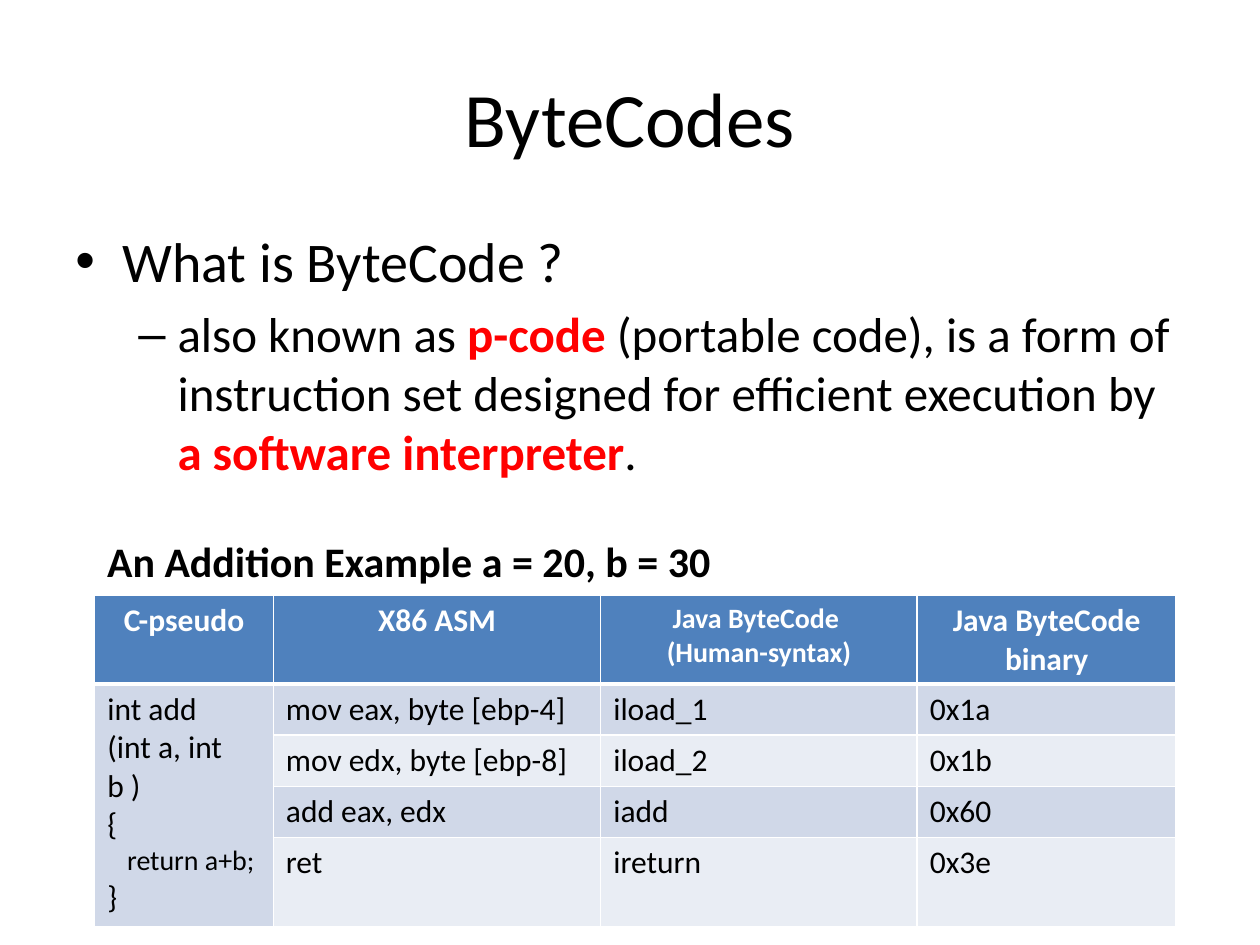
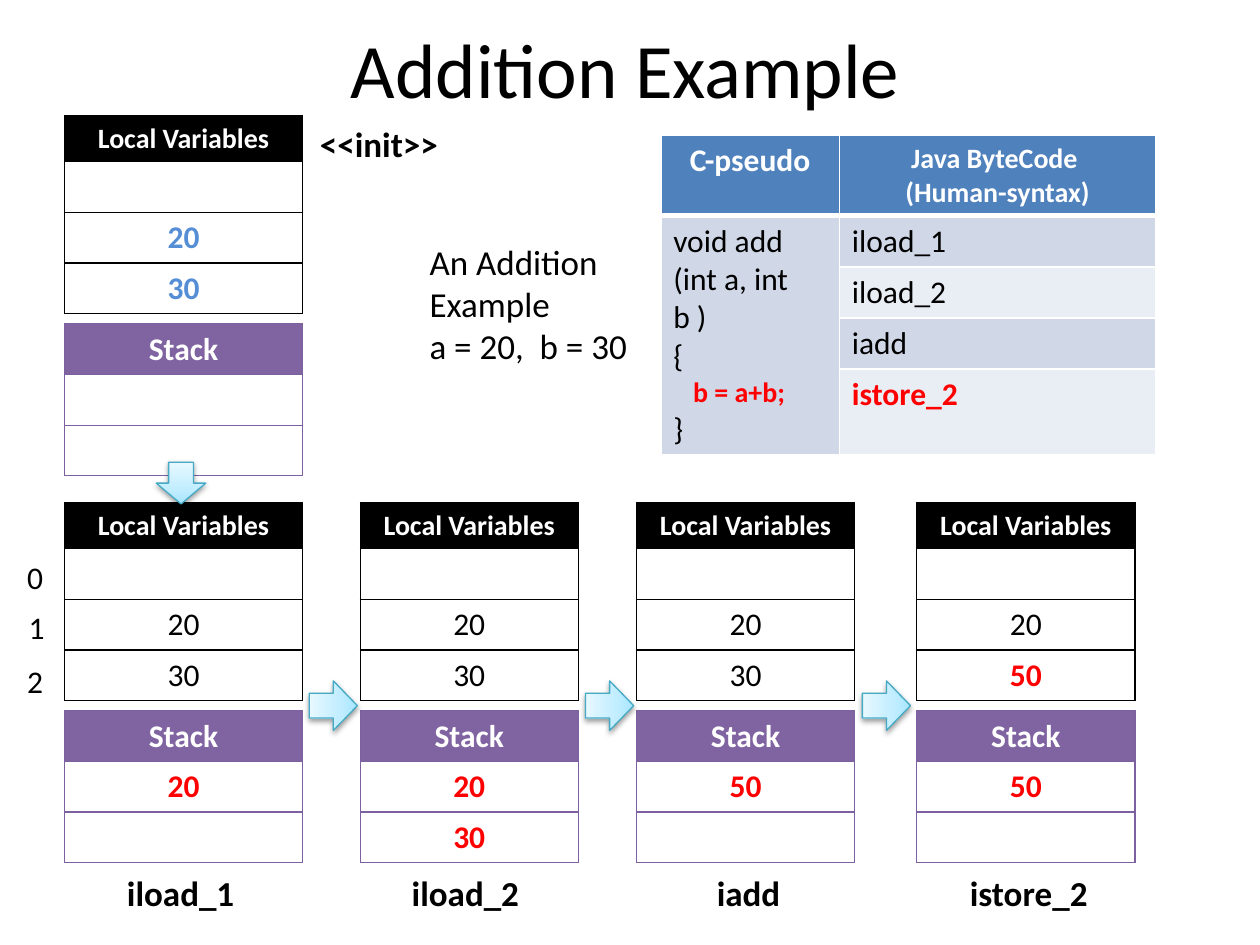
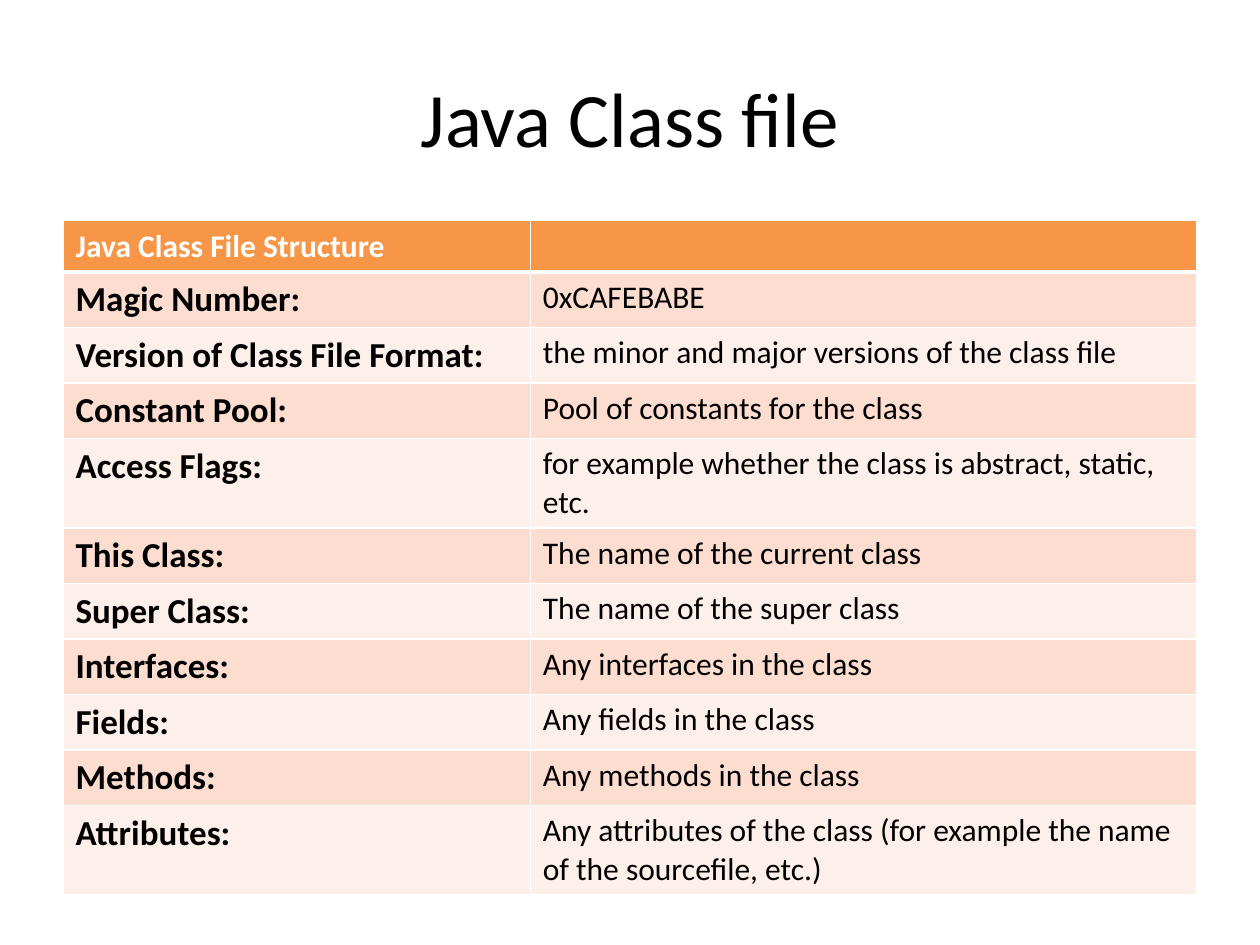
from copy import deepcopy

from lxml import etree
from pptx import Presentation
from pptx import util as u
from pptx.dml.color import RGBColor
from pptx.enum import shapes, text
from pptx.oxml import parse_xml
from pptx.oxml.ns import nsdecls, qn

FONT = "Calibri"
BLACK, WHITE, RED = "000000", "FFFFFF", "FF0000"
BLUE, BLUE_BANDS = "4F81BD", ("D0D8E8", "E9EDF4")
ORANGE, ORANGE_BANDS = "F79646", ("FCDDCF", "FDEFE9")
PURPLE, PURPLE_LINE, VALUE_BLUE = "8064A2", "7D60A0", "558ED5"
LEFT, CENTER = text.PP_ALIGN.LEFT, text.PP_ALIGN.CENTER
rgb = RGBColor.from_string


def write(frame, words, size, colour=BLACK, bold=False, align=LEFT):
    """Fill a text frame; a newline starts a paragraph, a vertical tab a line."""
    frame.word_wrap = True
    frame.text = words
    for para in frame.paragraphs:
        para.alignment = align
        para.font.name = FONT
        para.font.size = u.Pt(size)
        para.font.bold = bold
        para.font.color.rgb = rgb(colour)


def add_grid(page, left, top, widths, heights, head, bands, line, weight, rule):
    """Add a table with a filled head row, banded rows and a rule under the head."""
    frame = page.shapes.add_table(len(heights), len(widths), u.Cm(left), u.Cm(top),
                                  u.Cm(sum(widths)), u.Cm(sum(heights)))
    table = frame.table
    table.first_row = table.horz_banding = False
    for column, width in zip(table.columns, widths):
        column.width = u.Cm(width)
    for r, height in enumerate(heights):
        table.rows[r].height = u.Cm(height)
        for cell in table.rows[r].cells:
            props = cell._tc.get_or_add_tcPr()
            for edge in ("lnL", "lnR", "lnT", "lnB"):
                points = rule if (r, edge) in ((0, "lnB"), (1, "lnT")) else weight
                border = etree.SubElement(props, qn(f"a:{edge}"), w=str(u.Pt(points)))
                fill = etree.SubElement(border, qn("a:solidFill"))
                etree.SubElement(fill, qn("a:srgbClr"), val=line)
            cell.fill.solid()
            cell.fill.fore_color.rgb = rgb(bands[(r - 1) % 2] if r else head)
    return table


deck = Presentation()
deck.slide_width, deck.slide_height = u.Cm(25.4), u.Cm(19.05)

pages = []
for title, place in (("ByteCodes", (1.27, 0.76, 22.86, 3.18)),
                     ("Addition Example", (1.09, 0, 23.04, 2.72)),
                     ("Java Class file", (1.27, 0.76, 22.86, 3.18))):
    page = deck.slides.add_slide(deck.slide_layouts[6])
    frame = page.shapes.add_textbox(*map(u.Cm, place)).text_frame
    frame.vertical_anchor = text.MSO_ANCHOR.MIDDLE
    write(frame, title, 44, align=CENTER)
    pages.append(page)
bytecodes, addition, class_file = pages

# ByteCodes: definition; every second span is a highlighted term
frame = bytecodes.shapes.add_textbox(*map(u.Cm, (1.27, 4.45, 22.86, 7))).text_frame
write(frame, "What is ByteCode ?\n", 32)
definition = frame.paragraphs[1]
definition.font.size = u.Pt(28)
for i, words in enumerate((
        "also known as ", "p-code",
        " (portable code), is a form of instruction set designed for efficient execution by ",
        "a software interpreter", ".")):
    span = definition.add_run()
    span.text = words
    if i % 2:
        span.font.bold = True
        span.font.color.rgb = rgb(RED)
for para, mark, margin, hang in zip(frame.paragraphs, "•–", (0.95, 2.06), (0.95, 0.79)):
    para.space_before = u.Pt(para.font.size.pt * 0.2)
    props = para._p.get_or_add_pPr()
    props.set("marL", str(u.Cm(margin)))
    props.set("indent", str(-u.Cm(hang)))
    defaults = props.find(qn("a:defRPr"))
    defaults.addprevious(parse_xml(f'<a:buFont {nsdecls("a")} typeface="Arial"/>'))
    defaults.addprevious(parse_xml(f'<a:buChar {nsdecls("a")} char="{mark}"/>'))

frame = bytecodes.shapes.add_textbox(*map(u.Cm, (1.91, 10.67, 21.79, 1.27))).text_frame
write(frame, "An Addition Example a = 20, b = 30", 24, bold=True)

# Code comparison tables on the first two slides
human_syntax = "Java ByteCode \v(Human-syntax)"
comparisons = (
    (bytecodes, 1.91, 12, (3.6, 6.6, 6.38, 5.22), (1.79, 1.03, 1.03, 1.03, 1.8),
     (("C-pseudo", "X86 ASM", human_syntax, "Java ByteCode binary"),
      ("int add\v(int a, int b )\n{\nreturn a+b;\n}", "mov eax, byte [ebp-4]", "iload_1", "0x1a"),
      ("", "mov edx, byte [ebp-8]", "iload_2", "0x1b"),
      ("", "add eax, edx", "iadd", "0x60"),
      ("", "ret", "ireturn", "0x3e"))),
    (addition, 13.32, 2.73, (3.6, 6.38), (1.62, 1.03, 1.03, 1.03, 1.72),
     (("C-pseudo", human_syntax),
      ("void add\v(int a, int b )\n{\nb = a+b;\n}", "iload_1"),
      ("", "iload_2"),
      ("", "iadd"),
      ("", "istore_2"))),
)
for page, left, top, widths, heights, rows in comparisons:
    table = add_grid(page, left, top, widths, heights, BLUE, BLUE_BANDS, WHITE, 1, 3)
    table.cell(1, 0).merge(table.cell(4, 0))
    for r, row in enumerate(rows):
        for c, words in enumerate(row):
            if not words:
                continue
            frame = table.cell(r, c).text_frame
            if r == 0:
                write(frame, words, 16 if words == human_syntax else 18, WHITE, True, CENTER)
            elif words == "istore_2":
                write(frame, words, 18, RED, True)
            else:
                write(frame, words, 18)
    statement = table.cell(1, 0).text_frame.paragraphs[2]
    statement.font.size = u.Pt(16)
    statement._p.get_or_add_pPr().set("marL", str(u.Cm(0.4)))
    if page is addition:
        statement.font.bold = True
        statement.font.color.rgb = rgb(RED)

# Addition Example: local variables and stack at each step
steps = (
    (1.3, 2.33, 4.8, ("20", "30"), VALUE_BLUE, ("", "")),
    (1.3, 10.13, 4.8, ("20", "30"), BLACK, ("20", "")),
    (7.26, 10.13, 4.4, ("20", "30"), BLACK, ("20", "30")),
    (12.83, 10.13, 4.4, ("20", "30"), BLACK, ("50", "")),
    (18.48, 10.13, 4.4, ("20", "50"), BLACK, ("50", "")),
)
for left, top, width, variables, ink, stack in steps:
    table = add_grid(addition, left, top, [width], [0.93] + [1.02] * 3,
                     BLACK, (WHITE, WHITE), BLACK, 0.75, 0.75)
    write(table.cell(0, 0).text_frame, "Local Variables", 16, WHITE, True, CENTER)
    for r, value in enumerate(variables, 2):
        colour = RED if value == "50" else ink
        write(table.cell(r, 0).text_frame, value, 18, colour, colour != BLACK, CENTER)
    table = add_grid(addition, left, top + 4.2, [width], [1.02] * 3,
                     PURPLE, (WHITE, WHITE), PURPLE_LINE, 0.75, 0.75)
    write(table.cell(0, 0).text_frame, "Stack", 18, WHITE, True, CENTER)
    for r, value in enumerate(stack, 1):
        if value:
            write(table.cell(r, 0).text_frame, value, 18, RED, True, CENTER)

labels = (
    ("An Addition Example \va = 20,  b = 30", 8.41, 4.72, 5, 2.82, 20, False),
    ("<<init>>", 6.2, 2.34, 3, 1.12, 20, True),
    ("0", 0.3, 11.13, 0.8, 1.02, 18, False),
    ("1", 0.33, 12.14, 0.8, 1.02, 18, False),
    ("2", 0.3, 13.23, 0.8, 1.02, 18, False),
    ("iload_1", 2.31, 17.45, 3, 1.12, 20, True),
    ("iload_2", 8.05, 17.45, 3, 1.12, 20, True),
    ("iadd", 14.2, 17.45, 3, 1.12, 20, True),
    ("istore_2", 19.3, 17.45, 3, 1.12, 20, True),
)
for words, left, top, width, height, size, bold in labels:
    box = addition.shapes.add_textbox(u.Cm(left), u.Cm(top), u.Cm(width), u.Cm(height))
    write(box.text_frame, words, size, bold=bold)

for left, top, height, turn in ((3.15, 9.32, 0.84, 0), (6.22, 13.74, 0.97, 270),
                                (11.79, 13.74, 0.97, 270), (17.37, 13.74, 0.97, 270)):
    arrow = addition.shapes.add_shape(shapes.MSO_SHAPE.DOWN_ARROW, u.Cm(left), u.Cm(top),
                                      u.Cm(1), u.Cm(height))
    arrow.rotation = turn
    arrow.fill.gradient()
    arrow.fill.gradient_angle = 90
    props = arrow._element.spPr
    first_stop = props.find(f".//{qn('a:gs')}")
    first_stop.addnext(deepcopy(first_stop))
    for stop, position, colour in zip(arrow.fill.gradient_stops, (0, 0.35, 1),
                                      ("A7E6FF", "C1EDFF", "E7F8FF")):
        stop.position = position
        stop.color.rgb = rgb(colour)
    arrow.line.color.rgb = rgb("46AAC5")
    arrow.line.width = u.Pt(0.75)
    props.append(parse_xml(
        f'<a:effectLst {nsdecls("a")}><a:outerShdw blurRad="40000" dist="20000" dir="5400000" '
        'rotWithShape="0"><a:srgbClr val="000000"><a:alpha val="38000"/></a:srgbClr>'
        '</a:outerShdw></a:effectLst>'))

# Java Class file: structure
sections = (
    ("Magic Number:", "0xCAFEBABE"),
    ("Version of Class File Format:", "the minor and major versions of the class file"),
    ("Constant Pool:", "Pool of constants for the class"),
    ("Access Flags:", "for example whether the class is abstract, static, etc."),
    ("This Class:", "The name of the current class"),
    ("Super Class:", "The name of the super class"),
    ("Interfaces:", "Any interfaces in the class"),
    ("Fields:", "Any fields in the class"),
    ("Methods:", "Any methods in the class"),
    ("Attributes:", "Any attributes of the class (for example the name of the sourcefile, etc.)"),
)
heights = [1.03] + [1.8 if len(meaning) > 50 else 1.12 for name, meaning in sections]
table = add_grid(class_file, 1.27, 4.45, (9.42, 13.44), heights,
                 ORANGE, ORANGE_BANDS, WHITE, 1, 3)
write(table.cell(0, 0).text_frame, "Java Class File Structure", 18, WHITE, True)
for r, (name, meaning) in enumerate(sections, 1):
    write(table.cell(r, 0).text_frame, name, 20, bold=True)
    write(table.cell(r, 1).text_frame, meaning, 18)

deck.save("out.pptx")
